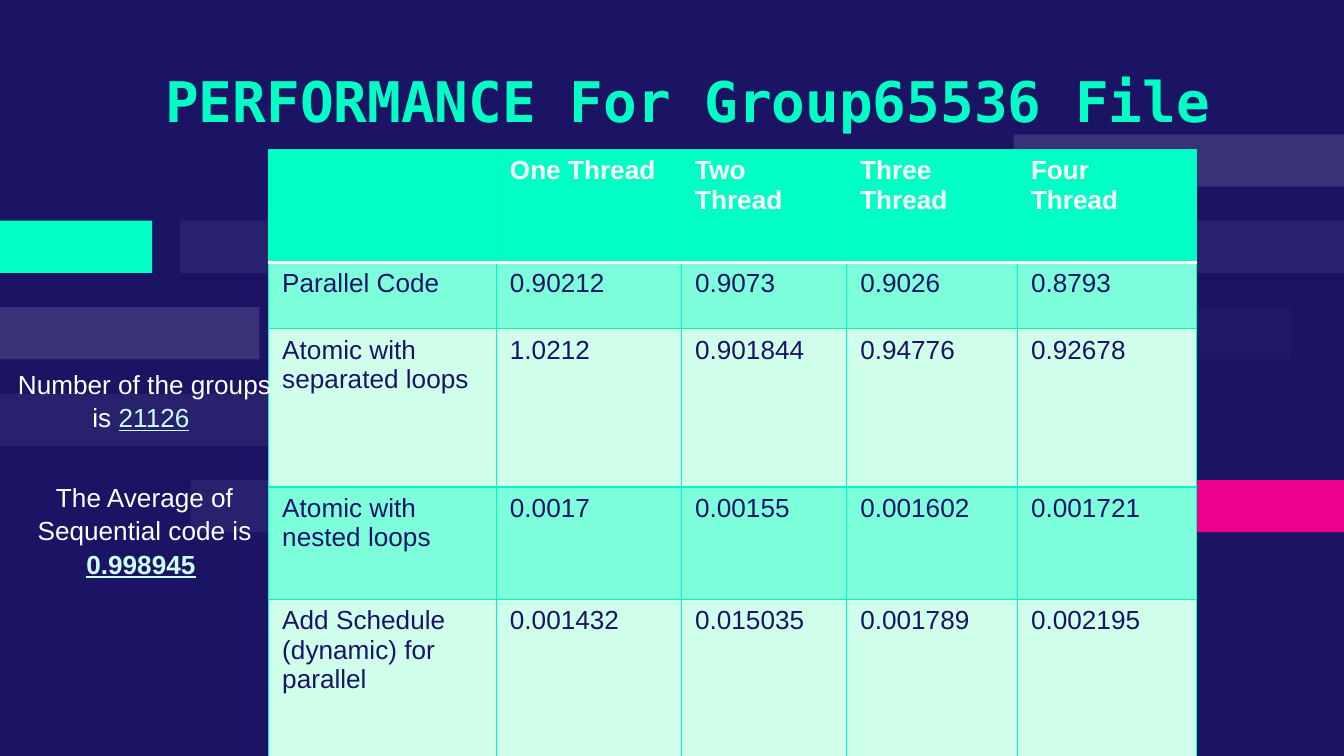
import dataclasses
from typing import Optional

import pptx
import pptx.dml.color
import pptx.enum.shapes
import pptx.enum.text
import pptx.oxml
import pptx.oxml.ns
import pptx.util
from pptx.util import Pt


@dataclasses.dataclass(frozen=True)
class Theme:
    navy: str = "1B1464"
    mint: str = "00FFC5"
    grid: str = "00F9C0"
    dark_row: str = "7DFFDC"
    light_row: str = "D0FFEB"
    value: str = "CCFFF3"
    pink: str = "EC008C"
    white: str = "FFFFFF"
    title_font: str = "DejaVu Sans Mono"
    text_font: str = "Arial"
    title_size: float = 30
    text_size: float = 14
    grid_width: float = 0.75
    header_width: float = 2


@dataclasses.dataclass(frozen=True)
class Bar:
    level: int
    left: float
    width: float
    color: str
    opacity: Optional[int] = None


@dataclasses.dataclass(frozen=True)
class Note:
    top: float
    label: str
    value: str
    bold: bool


THEME = Theme()
PAGE_WIDTH, PAGE_HEIGHT = 720, 405
BAR_TOP, BAR_PITCH, BAR_HEIGHT = 72, 46.3, 28

BARS = [
    Bar(2, 0, 139, THEME.white, 13),
    Bar(2, 528.5, 163.5, THEME.white, 2),
    Bar(1, 96.5, 87, THEME.white, 6),
    Bar(3, 0, 177, THEME.white, 6),
    Bar(1, 0, 81.5, THEME.mint),
    Bar(4, 102.2, 87, THEME.white, 6),
    Bar(4, 638, 82, THEME.pink),
    Bar(1, 633, 87, THEME.white, 6),
    Bar(0, 543, 177, THEME.white, 13),
]
NOTES = [
    Note(196, "Number of the groups is ", "21126", False),
    Note(256.5, "The Average of Sequential code is ", "0.998945", True),
]
COLUMN_WIDTHS = [122, 99.2, 88.5, 91.5, 96]
ROW_HEIGHTS = [60.5, 35.7, 84.7, 60.2, 84.7]
TIMINGS = [
    ["", "One Thread", "Two Thread", "Three Thread", "Four Thread"],
    ["Parallel Code", "0.90212", "0.9073", "0.9026", "0.8793"],
    ["Atomic with separated loops", "1.0212", "0.901844", "0.94776", "0.92678"],
    ["Atomic with nested loops", "0.0017", "0.00155", "0.001602", "0.001721"],
    ["Add Schedule (dynamic) for parallel", "0.001432", "0.015035", "0.001789", "0.002195"],
]


def rgb(color: str) -> pptx.dml.color.RGBColor:
    return pptx.dml.color.RGBColor.from_string(color)


def style_font(font, name: str, size: float, color: str, bold: bool = False) -> None:
    font.name = name
    font.size = Pt(size)
    font.bold = bold
    font.color.rgb = rgb(color)


def add_bar(slide, bar: Bar) -> None:
    shape = slide.shapes.add_shape(
        pptx.enum.shapes.MSO_SHAPE.RECTANGLE,
        Pt(bar.left), Pt(BAR_TOP + bar.level * BAR_PITCH), Pt(bar.width), Pt(BAR_HEIGHT),
    )
    shape.shadow.inherit = False
    shape.line.fill.background()
    shape.fill.solid()
    shape.fill.fore_color.rgb = rgb(bar.color)
    if bar.opacity is not None:
        color = next(shape.fill._xPr.iter(pptx.oxml.ns.qn("a:srgbClr")))
        alpha = pptx.oxml.parse_xml(
            f'<a:alpha {pptx.oxml.ns.nsdecls("a")} val="{bar.opacity * 1000}"/>'
        )
        color.append(alpha)


def add_title(slide, text: str) -> None:
    title = slide.shapes.title
    title.left, title.top, title.width, title.height = Pt(44), Pt(27.4), Pt(649), Pt(52.5)
    frame = title.text_frame
    frame.text = text
    frame.word_wrap = True
    frame.auto_size = pptx.enum.text.MSO_AUTO_SIZE.NONE
    frame.vertical_anchor = pptx.enum.text.MSO_ANCHOR.MIDDLE
    para = frame.paragraphs[0]
    para.alignment = pptx.enum.text.PP_ALIGN.CENTER
    style_font(para.font, THEME.title_font, THEME.title_size, THEME.mint, True)


def set_border(cell, side: int, color: str, width: float) -> None:
    """Set one edge; sides 0 to 3 are left, right, top and bottom, in schema order."""
    tag = ("lnL", "lnR", "lnT", "lnB")[side]
    line = pptx.oxml.parse_xml(
        f'<a:{tag} {pptx.oxml.ns.nsdecls("a")} w="{Pt(width)}">'
        f'<a:solidFill><a:srgbClr val="{color}"/></a:solidFill></a:{tag}>'
    )
    cell._tc.get_or_add_tcPr().insert(side, line)


def fill_cell(cell, text: str, row: int) -> None:
    header = row == 0
    fill = THEME.mint if header else (THEME.light_row, THEME.dark_row)[row % 2]
    cell.fill.solid()
    cell.fill.fore_color.rgb = rgb(fill)
    for side in range(4):
        under_header = (row, side) in ((0, 3), (1, 2))
        if under_header:
            set_border(cell, side, THEME.white, THEME.header_width)
        else:
            set_border(cell, side, THEME.grid, THEME.grid_width)
    cell.text = text
    color = THEME.white if header else THEME.navy
    style_font(cell.text_frame.paragraphs[0].font, THEME.text_font, THEME.text_size, color, header)


def add_timing_table(slide) -> None:
    frame = slide.shapes.add_table(
        len(ROW_HEIGHTS), len(COLUMN_WIDTHS),
        Pt(144), Pt(80), Pt(sum(COLUMN_WIDTHS)), Pt(sum(ROW_HEIGHTS)),
    )
    table = frame.table
    for column, width in zip(table.columns, COLUMN_WIDTHS):
        column.width = Pt(width)
    for row, (height, texts) in enumerate(zip(ROW_HEIGHTS, TIMINGS)):
        table.rows[row].height = Pt(height)
        for column, text in enumerate(texts):
            fill_cell(table.cell(row, column), text, row)


def add_note(slide, note: Note) -> None:
    box = slide.shapes.add_textbox(Pt(0), Pt(note.top), Pt(155), Pt(67.5))
    frame = box.text_frame
    frame.word_wrap = True
    frame.margin_top = Pt(0)
    para = frame.paragraphs[0]
    para.alignment = pptx.enum.text.PP_ALIGN.CENTER
    para.line_spacing = 1.07
    style_font(para.font, THEME.text_font, THEME.text_size, THEME.white)
    for text in (note.label, note.value, " "):
        span = para.add_run()
        span.text = text
        if text == note.value:
            span.font.color.rgb = rgb(THEME.value)
            span.font.underline = True
            span.font.bold = note.bold


def main() -> None:
    deck = pptx.Presentation()
    deck.slide_width, deck.slide_height = Pt(PAGE_WIDTH), Pt(PAGE_HEIGHT)
    title_only = deck.slide_layouts[5]
    slide = deck.slides.add_slide(title_only)
    slide.background.fill.solid()
    slide.background.fill.fore_color.rgb = rgb(THEME.navy)
    for bar in BARS:
        add_bar(slide, bar)
    add_title(slide, "PERFORMANCE For Group65536 File")
    add_timing_table(slide)
    for note in NOTES:
        add_note(slide, note)
    deck.save("out.pptx")


if __name__ == "__main__":
    main()
